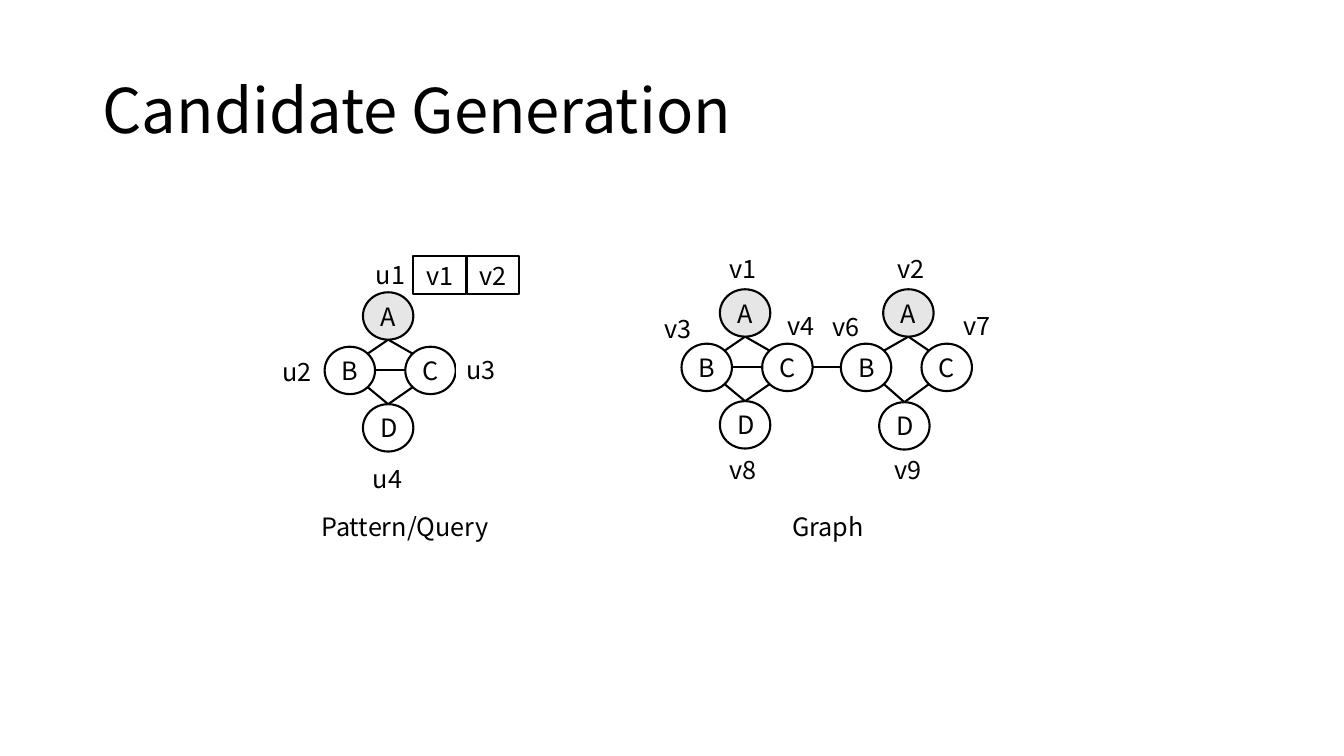
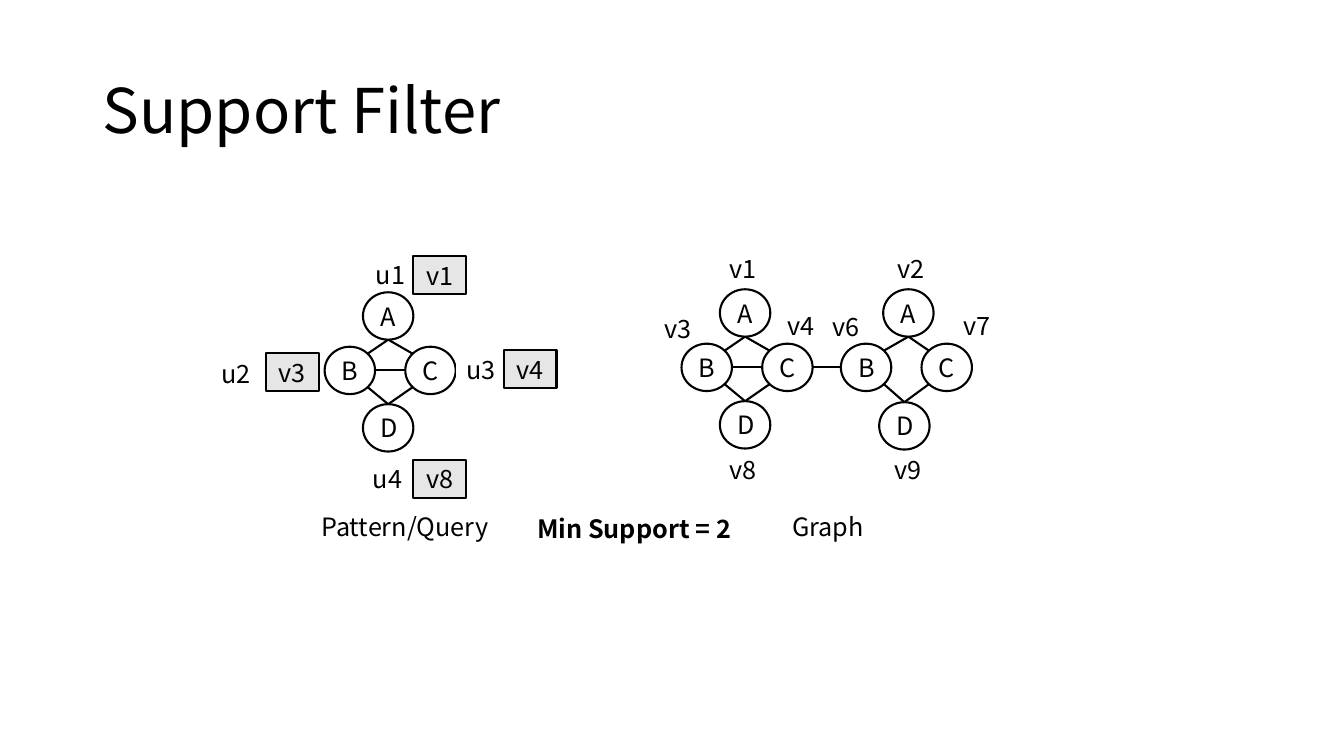
import pptx
import pptx.util
import pptx.dml.color
import pptx.enum.shapes
import pptx.enum.text
import pptx.oxml.ns
import lxml.etree

Inches = pptx.util.Inches
Pt = pptx.util.Pt
Kind = pptx.enum.shapes.MSO_SHAPE
Anchor = pptx.enum.text.MSO_ANCHOR
Align = pptx.enum.text.PP_ALIGN
Fit = pptx.enum.text.MSO_AUTO_SIZE

FONT = "Noto Sans CJK SC"
BLACK, WHITE, GREY = "000000", "FFFFFF", "E7E6E6"
NODE_W, NODE_H = 0.5, 0.47
DIAG = 0.5 ** 0.5 / 2  # centre to diagonal point, as a share of the node size
LABEL = (0.62, 0.4)
BOX = (0.52, 0.38)
WIDE = (1.86, 0.4)


def paint(fill, color):
    fill.solid()
    fill.fore_color.rgb = pptx.dml.color.RGBColor.from_string(color)


def put(slide, text, spot, size, kind=None, color=WHITE):
    """Add a filled, outlined shape of the given kind, or a plain text box."""
    at = [Inches(n) for n in (*spot, *size)]
    if kind is None:
        shape = slide.shapes.add_textbox(*at)
        shape.text_frame.auto_size = Fit.SHAPE_TO_FIT_TEXT
    else:
        shape = slide.shapes.add_shape(kind, *at)
        shape.shadow.inherit = False
        paint(shape.fill, color)
        paint(shape.line.fill, BLACK)
        shape.line.width = Pt(1.5)
        shape.text_frame.vertical_anchor = Anchor.MIDDLE
    frame = shape.text_frame
    frame.word_wrap = True
    frame.text = text
    para = frame.paragraphs[0]
    para.alignment = Align.LEFT if kind is None else Align.CENTER
    font = para.runs[0].font
    font.name = FONT
    font.size = Pt(18)
    paint(font.fill, BLACK)
    return shape


# Diamonds: left, top, offset of A, drop of D, whether B and C are joined
diamonds = [
    (3.22, 2.9, 0.38, 1.11, True),
    (6.76, 2.87, 0.38, 1.11, True),
    (8.34, 2.87, 0.42, 1.12, False),
]
bridge = ((8.06, 3.64), (8.34, 3.64))

labels = [
    ("u1", 3.63, 2.52), ("u3", 4.53, 3.47), ("u4", 3.6, 4.55),
    ("v1", 7.14, 2.46), ("v2", 8.8, 2.46), ("v3", 6.49, 3.06),
    ("v4", 7.71, 3.03), ("v6", 8.16, 3.04), ("v7", 9.46, 3.03),
    ("v8", 7.14, 4.46), ("v9", 8.77, 4.46),
]

# Pages: title, fill of A, place of u2, fill of boxes, boxes, note
pages = [
    ("Candidate Generation", GREY, (2.7, 3.49), WHITE,
     [("v1", 4.1, 2.54), ("v2", 4.63, 2.54)], None),
    ("Support Filter", WHITE, (2.1, 3.51), GREY,
     [("v1", 4.1, 2.54), ("v8", 4.1, 4.56), ("v4", 5, 3.47), ("v3", 2.64, 3.5)],
     "Min Support = 2"),
]

deck = pptx.Presentation()
deck.slide_width = Inches(13.33)
deck.slide_height = Inches(7.5)

for title, top_fill, u2_spot, box_fill, boxes, note in pages:
    slide = deck.slides.add_slide(deck.slide_layouts[6])

    head = put(slide, title, (0.92, 0.4), (11.5, 1.45))
    head.text_frame.auto_size = Fit.NONE
    head.text_frame.vertical_anchor = Anchor.MIDDLE
    head.text_frame.paragraphs[0].line_spacing = 0.9
    head.text_frame.paragraphs[0].runs[0].font.size = Pt(44)

    edges = [bridge]
    for left, top, shift, drop, joined in diamonds:
        spots = {
            "A": (left + shift, top),
            "C": (left + 0.8, top + 0.54),
            "B": (left, top + 0.54),
            "D": (left + 0.38, top + drop),
        }
        for name, spot in spots.items():
            color = top_fill if name == "A" else WHITE
            put(slide, name, spot, (NODE_W, NODE_H), Kind.OVAL, color)

        mid = top + 0.54 + NODE_H / 2
        b_diag = left + NODE_W * (0.5 + DIAG)
        c_diag = left + 0.8 + NODE_W * (0.5 - DIAG)
        a_foot = (left + shift + NODE_W / 2, top + NODE_H)
        d_head = (left + 0.38 + NODE_W / 2, top + drop)
        for x in (b_diag, c_diag):
            edges.append((a_foot, (x, mid - NODE_H * DIAG)))
            edges.append((d_head, (x, mid + NODE_H * DIAG)))
        if joined:
            edges.append(((left + NODE_W, mid), (left + 0.8, mid)))

    for start, end in edges:
        edge = slide.shapes.add_connector(
            pptx.enum.shapes.MSO_CONNECTOR.STRAIGHT,
            *[Inches(n) for n in (*start, *end)])
        paint(edge.line.fill, BLACK)
        edge.line.width = Pt(1.5)
        lxml.etree.SubElement(edge._element.spPr, pptx.oxml.ns.qn("a:effectLst"))

    for text, x, y in [*labels, ("u2", *u2_spot)]:
        label = put(slide, text, (x, y), LABEL)
        if text == "u3":
            paint(label.line.fill, WHITE)
            label.line.width = Pt(0.75)
    put(slide, "Pattern/Query", (3.09, 5.02), WIDE)
    put(slide, "Graph", (7.76, 5.02), WIDE)

    for text, x, y in boxes:
        put(slide, text, (x, y), BOX, Kind.RECTANGLE, box_fill)

    if note:
        rule = put(slide, note, (5.23, 5.04), (2.33, 0.4))
        rule.text_frame.paragraphs[0].runs[0].font.bold = True

deck.save("out.pptx")
